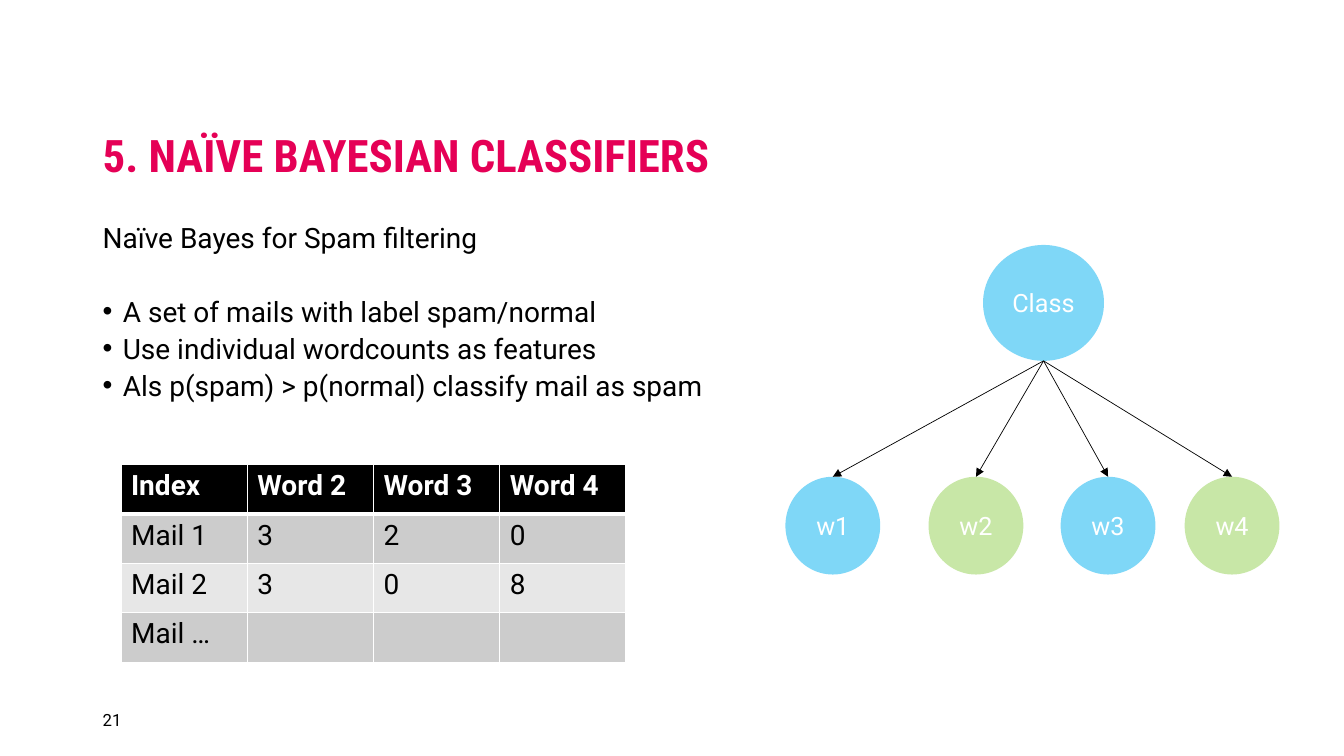
from lxml.etree import SubElement
from pptx import Presentation
from pptx.dml.color import RGBColor
from pptx.enum.shapes import MSO_CONNECTOR, MSO_SHAPE
from pptx.enum.text import MSO_ANCHOR, PP_ALIGN
from pptx.oxml.ns import qn
from pptx.util import Emu, Pt

PX = 9144  # EMU per px, 100 px to the inch

PINK = RGBColor(0xE5, 0x00, 0x56)
BLACK = RGBColor(0x00, 0x00, 0x00)
WHITE = RGBColor(0xFF, 0xFF, 0xFF)
BLUE = RGBColor(0x00, 0xB0, 0xF0)
GREEN = RGBColor(0x92, 0xD0, 0x50)
DARK_BAND = RGBColor(0xCC, 0xCC, 0xCC)
LIGHT_BAND = RGBColor(0xE7, 0xE7, 0xE7)

BULLETS = [
    "A set of mails with label spam/normal",
    "Use individual wordcounts as features",
    "Als p(spam) > p(normal) classify mail as spam",
]
WORD_COUNTS = [
    ["Index", "Word 2", "Word 3", "Word 4"],
    ["Mail 1", "3", "2", "0"],
    ["Mail 2", "3", "0", "8"],
    ["Mail …", "", "", ""],
]
WORD_NODES = [("w1", 0, BLUE), ("w2", 142, GREEN), ("w3", 273, BLUE), ("w4", 396, GREEN)]


def px(*lengths):
    return [Emu(length * PX) for length in lengths]


def write(paragraph, text, size=20, font="Roboto", color=BLACK, bold=False,
          align=None, spacing=None, before=None, bullet=False):
    if bullet:
        properties = paragraph._p.get_or_add_pPr()
        indent = 20 * PX
        properties.set("marL", str(indent))
        properties.set("indent", str(-indent))
        SubElement(properties, qn("a:buFont"), typeface="Arial")
        SubElement(properties, qn("a:buChar"), char="•")
    if align is not None:
        paragraph.alignment = align
    if spacing is not None:
        paragraph.line_spacing = spacing
    if before is not None:
        paragraph.space_before = before
    run = paragraph.add_run()
    run.text = text
    run.font.size = Pt(size)
    run.font.name = font
    run.font.bold = bold
    run.font.color.rgb = color


def add_frame(slide, box, anchor):
    frame = slide.shapes.add_textbox(*px(*box)).text_frame
    frame.word_wrap = True
    frame.vertical_anchor = anchor
    return frame


def add_title(slide, box):
    frame = add_frame(slide, box, MSO_ANCHOR.BOTTOM)
    write(frame.paragraphs[0], "5. NAÏVE BAYESIAN CLASSIFIERS", size=32,
          font="Roboto Condensed", color=PINK, bold=True, spacing=Pt(26))


def add_body(slide, box):
    frame = add_frame(slide, box, MSO_ANCHOR.TOP)
    write(frame.paragraphs[0], "Naïve Bayes for Spam filtering", spacing=1.1)
    for index, point in enumerate(BULLETS):
        write(frame.add_paragraph(), point, spacing=1.1, bullet=True,
              before=Pt(0 if index else 26))


def add_page_number(slide, box):
    frame = add_frame(slide, box, MSO_ANCHOR.MIDDLE)
    write(frame.paragraphs[0], "21", size=12)


def set_borders(cell, **widths):
    """Draw white borders; widths are points keyed by L, R, T and B."""
    properties = cell._tc.get_or_add_tcPr()
    for side in "LRTB":
        line = SubElement(properties, qn(f"a:ln{side}"), w=str(Pt(widths.get(side, 1))))
        fill = SubElement(line, qn("a:solidFill"))
        SubElement(fill, qn("a:srgbClr"), val=str(WHITE))


def add_word_counts(slide, box):
    table = slide.shapes.add_table(len(WORD_COUNTS), len(WORD_COUNTS[0]), *px(*box)).table
    for row, values in enumerate(WORD_COUNTS):
        header = row == 0
        band = BLACK if header else DARK_BAND if row % 2 else LIGHT_BAND
        for column, value in enumerate(values):
            cell = table.cell(row, column)
            set_borders(cell, B=3 if header else 1, T=3 if row == 1 else 1)
            cell.fill.solid()
            cell.fill.fore_color.rgb = band
            if value:
                write(cell.text_frame.paragraphs[0], value, bold=header,
                      color=WHITE if header else BLACK)


def add_node(slide, box, label, color):
    node = slide.shapes.add_shape(MSO_SHAPE.OVAL, *px(*box))
    node.shadow.inherit = False
    node.line.fill.background()
    node.fill.solid()
    node.fill.fore_color.rgb = color
    tint = node._element.spPr.find(f"{qn('a:solidFill')}/{qn('a:srgbClr')}")
    SubElement(tint, qn("a:alpha"), val="50000")
    node.text_frame.word_wrap = False
    node.text_frame.vertical_anchor = MSO_ANCHOR.MIDDLE
    write(node.text_frame.paragraphs[0], label, size=18, color=WHITE,
          align=PP_ALIGN.CENTER)


def add_arrow(slide, start, end):
    arrow = slide.shapes.add_connector(MSO_CONNECTOR.STRAIGHT, *px(*start, *end))
    arrow.line.color.rgb = BLACK
    arrow.line.width = Pt(0.5)
    SubElement(arrow.line._get_or_add_ln(), qn("a:tailEnd"), type="triangle")
    SubElement(arrow._element.spPr, qn("a:effectLst"))


def add_class_tree(slide, box):
    left, top, width, height = box
    class_left, class_width, class_height = left + 196, 120, 115
    word_width, word_height = 94, 97
    word_top = top + height - word_height
    class_foot = (class_left + class_width // 2, top + class_height)
    add_node(slide, (class_left, top, class_width, class_height), "Class", BLUE)
    for label, offset, color in WORD_NODES:
        word_left = left + offset
        add_node(slide, (word_left, word_top, word_width, word_height), label, color)
        add_arrow(slide, class_foot, (word_left + word_width // 2, word_top))


def main():
    presentation = Presentation()
    presentation.slide_width, presentation.slide_height = px(1333, 750)
    slide = presentation.slides.add_slide(presentation.slide_layouts[6])
    add_title(slide, (92, 40, 1150, 145))
    add_body(slide, (92, 211, 1150, 465))
    add_page_number(slide, (92, 694, 121, 40))
    add_class_tree(slide, (779, 243, 490, 327))
    add_word_counts(slide, (120, 461, 501, 196))
    presentation.save("out.pptx")


if __name__ == "__main__":
    main()
